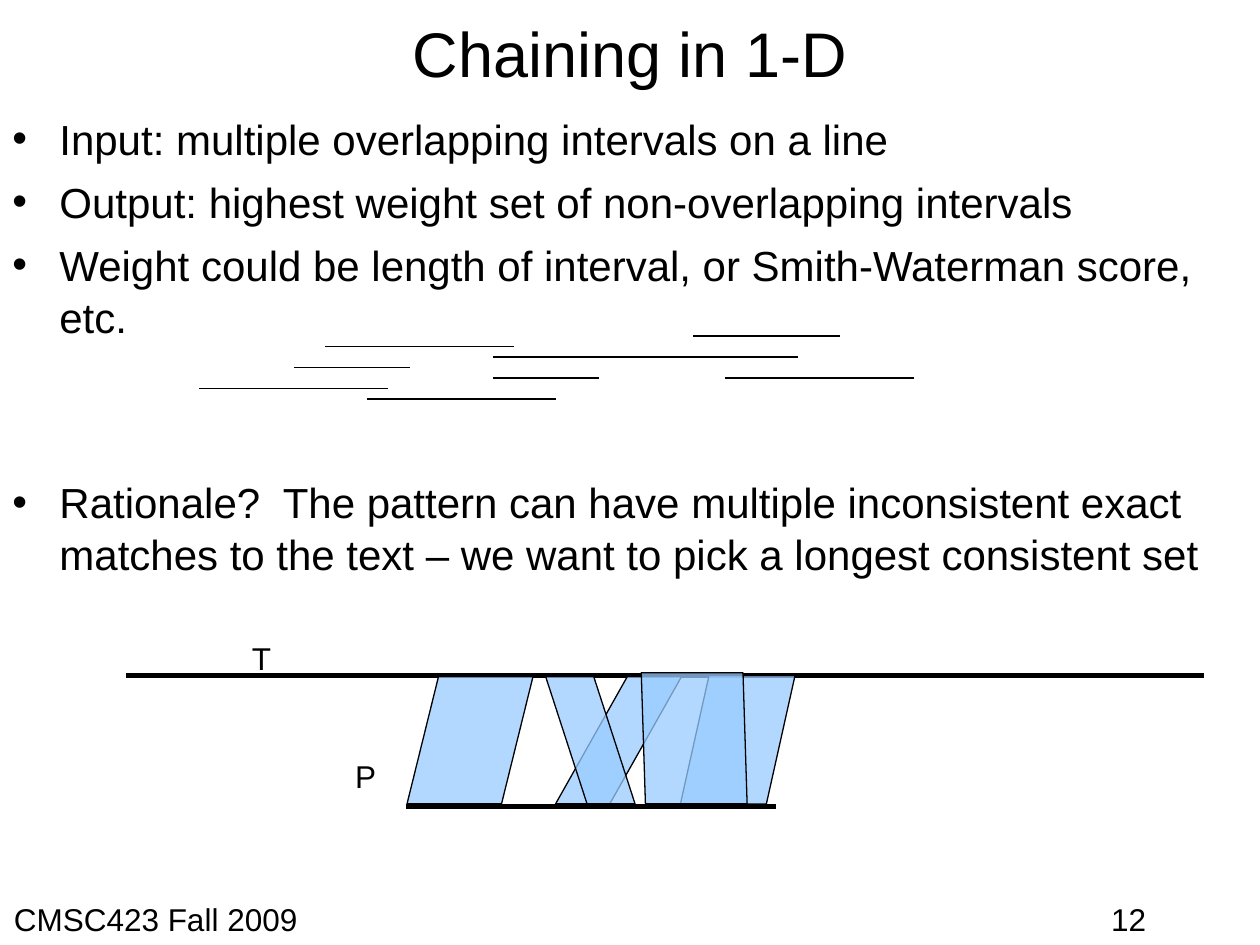
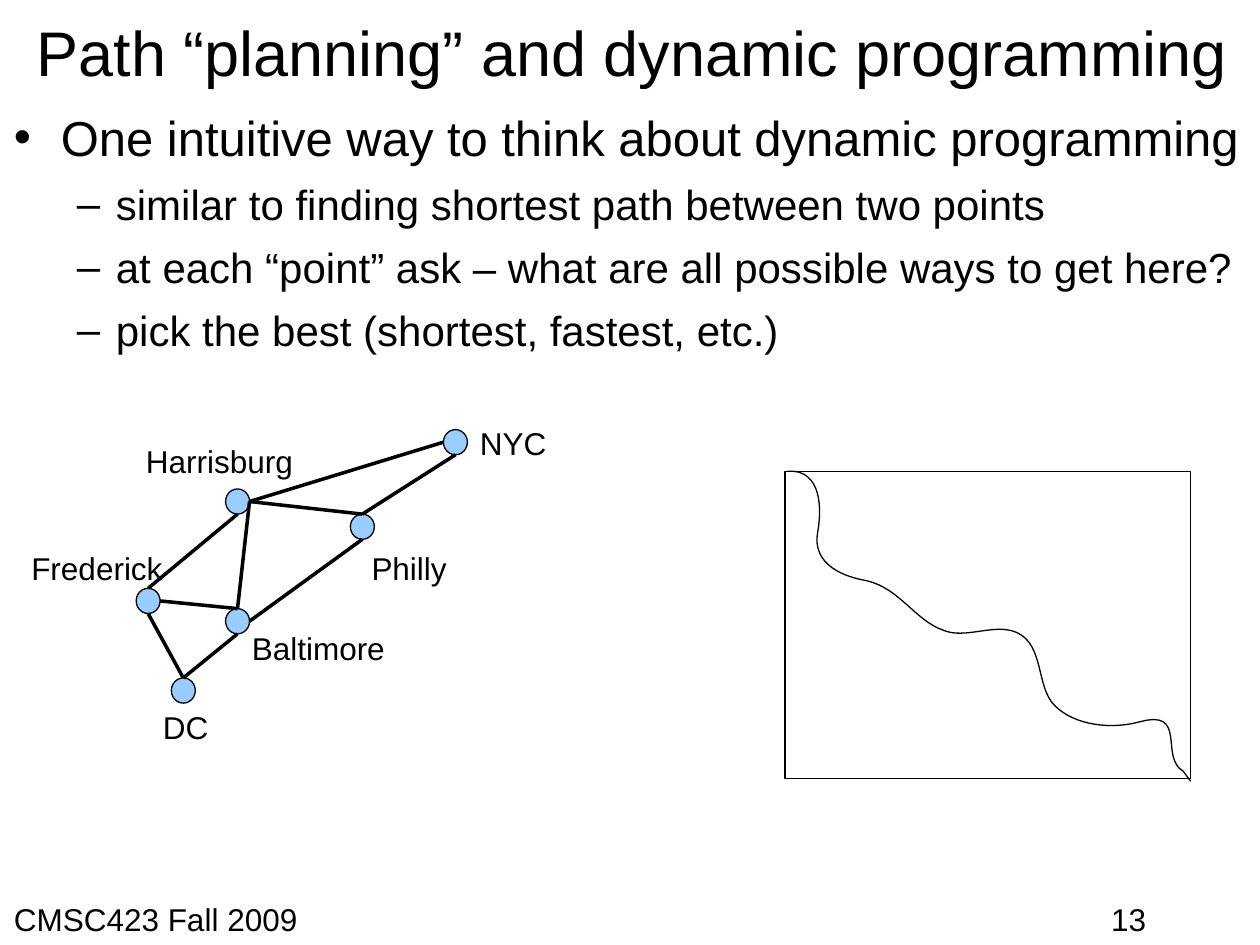
from dataclasses import dataclass

from lxml import etree
from pptx import Presentation
from pptx.dml.color import RGBColor
from pptx.enum import shapes as es, text as et
from pptx.oxml import ns
from pptx.util import Pt


@dataclass(frozen=True)
class Theme:
    """Colours, font, type sizes and line widths of the deck."""
    ink: RGBColor = RGBColor(0, 0, 0)
    sky: RGBColor = RGBColor(0x99, 0xCC, 0xFF)
    face: str = "Arial"
    title: int = 36
    lead: int = 28
    body: int = 24
    note: int = 18
    hair: float = 0
    thin: float = 0.75
    thick: float = 3
    lead_gap: float = 1.04


look = Theme()
PAD = (7.2, 3.6)
FLAT = (0, 0)


def sub(node, tag, **attrs):
    """Append a DrawingML child to a node."""
    return etree.SubElement(node, ns.qn("a:" + tag), attrs)


def style(para, size):
    """Give a paragraph the deck font at one size."""
    para.font.name = look.face
    para.font.size = Pt(size)
    para.font.color.rgb = look.ink


def frame(shape, pad):
    """Set the insets and wrapping of a shape's text frame."""
    tf = shape.text_frame
    tf.word_wrap = True
    tf.auto_size = et.MSO_AUTO_SIZE.NONE
    tf.margin_left = tf.margin_right = Pt(pad[0])
    tf.margin_top = tf.margin_bottom = Pt(pad[1])
    return tf


def label(slide, words, x, y, w, h=28.8, pad=PAD):
    """Write a one-line label."""
    box = slide.shapes.add_textbox(Pt(x), Pt(y), Pt(w), Pt(h))
    tf = frame(box, pad)
    tf.text = words
    style(tf.paragraphs[0], look.note)


def rule(slide, x1, y1, x2, y2, width):
    """Draw a straight line without shadow."""
    line = slide.shapes.add_connector(
        es.MSO_CONNECTOR.STRAIGHT, Pt(x1), Pt(y1), Pt(x2), Pt(y2))
    line.line.color.rgb = look.ink
    line.line.width = Pt(width)
    sub(line.element.spPr, "effectLst")


def paint(shape, fill=None):
    """Give a shape a hairline outline and a fill or none."""
    shape.shadow.inherit = False
    shape.line.color.rgb = look.ink
    shape.line.width = Pt(look.hair)
    if fill is None:
        shape.fill.background()
    else:
        shape.fill.solid()
        shape.fill.fore_color.rgb = fill


def form(slide, kind, x, y, w, h, fill=None):
    """Add a painted preset shape."""
    shape = slide.shapes.add_shape(kind, Pt(x), Pt(y), Pt(w), Pt(h))
    paint(shape, fill)
    return shape


def page(deck, words, box, pad, number):
    """Start a slide with its title, course name and number."""
    slide = deck.slides.add_slide(deck.slide_layouts[5])
    title = slide.shapes.title
    title.left, title.top, title.width, title.height = map(Pt, box)
    tf = frame(title, pad)
    tf.vertical_anchor = et.MSO_ANCHOR.MIDDLE
    tf.text = words
    para = tf.paragraphs[0]
    para.alignment = et.PP_ALIGN.CENTER
    style(para, look.title)
    label(slide, "CMSC423 Fall 2009", 7.92, 514, 627, 26, FLAT)
    label(slide, str(number), 635, 514, 78, 26, FLAT)
    return slide


def points(slide, box, pad, items):
    """Write bullets given as text, level, size and space before."""
    marks = (("•", 26.9, -26.9), ("–", 58.3, -22.3))
    tf = frame(slide.shapes.add_textbox(*map(Pt, box)), pad)
    for i, (words, level, size, gap) in enumerate(items):
        para = tf.add_paragraph() if i else tf.paragraphs[0]
        para.text = words
        para.level = level
        para.space_before = Pt(gap)
        para.line_spacing = look.lead_gap
        mark, left, hang = marks[level]
        props = para._p.get_or_add_pPr()
        props.set("marL", str(Pt(left)))
        props.set("indent", str(Pt(hang)))
        sub(sub(props, "buClr"), "srgbClr", val=str(look.ink))
        sub(props, "buFont", typeface=look.face)
        sub(props, "buChar", char=mark)
        style(para, size)


def spans(slide, x, y):
    """Draw the overlapping intervals on a six-point grid."""
    step = 6
    for start, end, row in ((0, 18, 5), (9, 20, 3), (16, 34, 6), (12, 30, 1),
                            (28, 38, 4), (28, 57, 2), (50, 68, 4), (47, 61, 0)):
        level = y + row * step
        rule(slide, x + start * step, level, x + end * step, level, look.thin)


def matches(slide, x, y):
    """Draw text and pattern lines with the bands that match them."""
    rule(slide, x, y, x + 616.3, y, look.thick)
    rule(slide, x + 159.8, y + 74.9, x + 371.5, y + 74.9, look.thick)
    base = 73.4
    for left, top, wide, skew, flip in (
            (160.6, 0.6, 72, 0.25, False), (245.5, 0.6, 72, 0.57, False),
            (239.8, 0.6, 51.1, 0.463, True), (316.8, 0, 65.5, 0.25, False),
            (294.5, -1.5, 60.5, 0.039, True)):
        band = form(slide, es.MSO_SHAPE.PARALLELOGRAM, x + left, y + top,
                    wide, base - top, look.sky)
        band.adjustments[0] = skew
        props = band.element.spPr
        if flip:
            props.find(ns.qn("a:xfrm")).set("flipH", "1")
        tint = props.find(ns.qn("a:solidFill"))[0]
        sub(tint, "alpha", val="75000")
    label(slide, "T", x + 64.8, y - 24.6, 25.2)
    label(slide, "P", x + 123.8, y + 43.1, 32.4)


def roads(slide, x, y):
    """Draw the map of cities and the roads that join them."""
    wide, high = 13.7, 14.4
    cities = {
        "DC": (87.9, 147.4, 76, 161, 44),
        "Baltimore": (118.9, 107.8, 126.8, 115.7, 101.5),
        "Frederick": (67.8, 96.2, 0.8, 70.3, 99.4),
        "Harrisburg": (118.9, 39.4, 66.3, 9.1, 98.6),
        "Philly": (190.2, 53.8, 195.2, 70.3, 61.2),
        "NYC": (243.4, 5.5, 257.1, -1, 60.5),
    }
    sides = {"top": (0.5, 0), "left": (0, 0.5),
             "bottom": (0.5, 1), "right": (1, 0.5)}

    def end(city, side):
        """Find the middle of one side of a city's dot."""
        across, down = sides[side]
        return (x + cities[city][0] + across * wide,
                y + cities[city][1] + down * high)

    for left, top, *_ in cities.values():
        form(slide, es.MSO_SHAPE.OVAL, x + left, y + top, wide, high, look.sky)
    for a, out, b, into in (
            ("DC", "top", "Frederick", "bottom"),
            ("DC", "top", "Baltimore", "bottom"),
            ("Baltimore", "right", "Philly", "bottom"),
            ("Philly", "top", "NYC", "bottom"),
            ("Frederick", "top", "Harrisburg", "bottom"),
            ("Frederick", "right", "Baltimore", "top"),
            ("Baltimore", "top", "Harrisburg", "right"),
            ("Harrisburg", "right", "Philly", "top"),
            ("Harrisburg", "right", "NYC", "left")):
        rule(slide, *end(a, out), *end(b, into), look.hair)
    for name, (_, _, left, top, room) in cities.items():
        label(slide, name, x + left, y + top, room)


def bend(a, b, c, d, steps=16):
    """List points along a cubic curve after its start."""
    for i in range(1, steps + 1):
        t = i / steps
        s = 1 - t
        yield tuple(s**3 * p + 3 * s * s * t * q + 3 * s * t * t * r + t**3 * z
                    for p, q, r, z in zip(a, b, c, d))


def trail(slide, x, y, w, h):
    """Draw a frame crossed by a winding path."""
    form(slide, es.MSO_SHAPE.RECTANGLE, x, y, w, h)
    start = (1.4, 0)
    spots = [start]
    for b, c, d in (
            ((21.6, -1.4), (20.9, 23), (18.7, 34.6)),
            ((15.1, 54), (34.6, 60.5), (46.8, 62.6)),
            ((65.5, 67), (74.2, 85), (90, 90.7)),
            ((103, 96.5), (119.5, 86.4), (132.5, 92.2)),
            ((148.3, 99.4), (143.3, 123.1), (154.1, 133.9)),
            ((165.6, 145.4), (186.5, 147.6), (202.3, 143.3)),
            ((230.4, 135.4), (213.8, 163.4), (227.5, 171.4))):
        spots.extend(bend(spots[-1], b, c, d))
    spots.append((w, h + 1.4))
    spots = [(Pt(x + px), Pt(y + py)) for px, py in spots]
    pen = slide.shapes.build_freeform(*spots[0])
    pen.add_line_segments(spots[1:], close=False)
    paint(pen.convert_to_shape())


def chain(deck):
    """Build the slide on chaining."""
    slide = page(deck, "Chaining in 1-D", (0, 6, 720, 48), PAD, 12)
    points(slide, (0, 60, 720, 480), PAD, (
        ("Input: multiple overlapping intervals on a line", 0, look.body, 6),
        ("Output: highest weight set of non-overlapping intervals",
         0, look.body, 6),
        ("Weight could be length of interval, or Smith-Waterman score, etc.",
         0, look.body, 6),
        ("Rationale?  The pattern can have multiple inconsistent exact matches "
         "to the text – we want to pick a longest consistent set",
         0, look.body, 75.8)))
    spans(slide, 114, 192)
    matches(slide, 72, 386)


def plan(deck):
    """Build the slide on paths and dynamic programming."""
    slide = page(deck, "Path “planning” and dynamic programming",
                 (9.4, 4.3, 703.4, 50.4), FLAT, 13)
    points(slide, (7.92, 60, 704.2, 454), FLAT, (
        ("One intuitive way to think about dynamic programming",
         0, look.lead, 7),
        ("similar to finding shortest path between two points",
         1, look.body, 6),
        ("at each “point” ask – what are all possible ways to get here?",
         1, look.body, 6),
        ("pick the best (shortest, fastest, etc.)", 1, look.body, 6)))
    roads(slide, 10, 240)
    trail(slide, 448.6, 269.3, 231.8, 175.7)


def main():
    """Build and save the deck."""
    deck = Presentation()
    deck.slide_width, deck.slide_height = Pt(720), Pt(540)
    chain(deck)
    plan(deck)
    deck.save("out.pptx")


if __name__ == "__main__":
    main()
